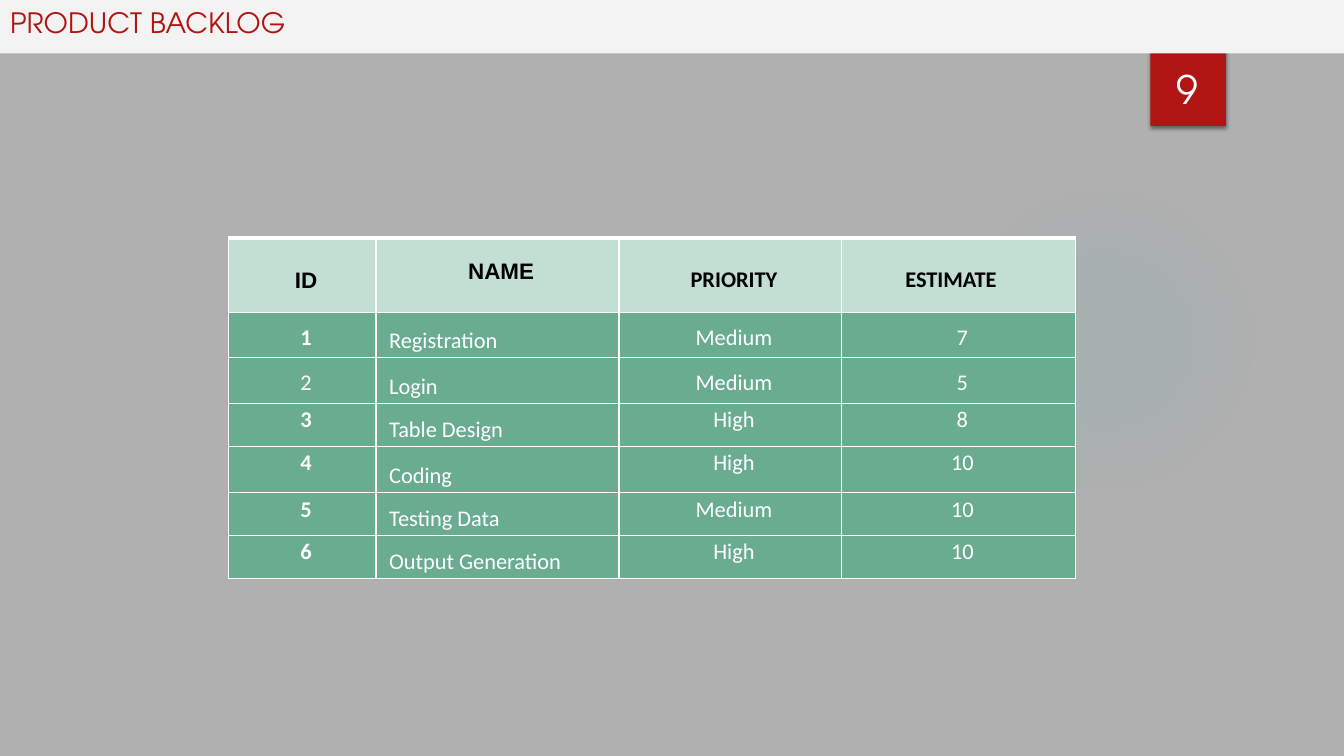
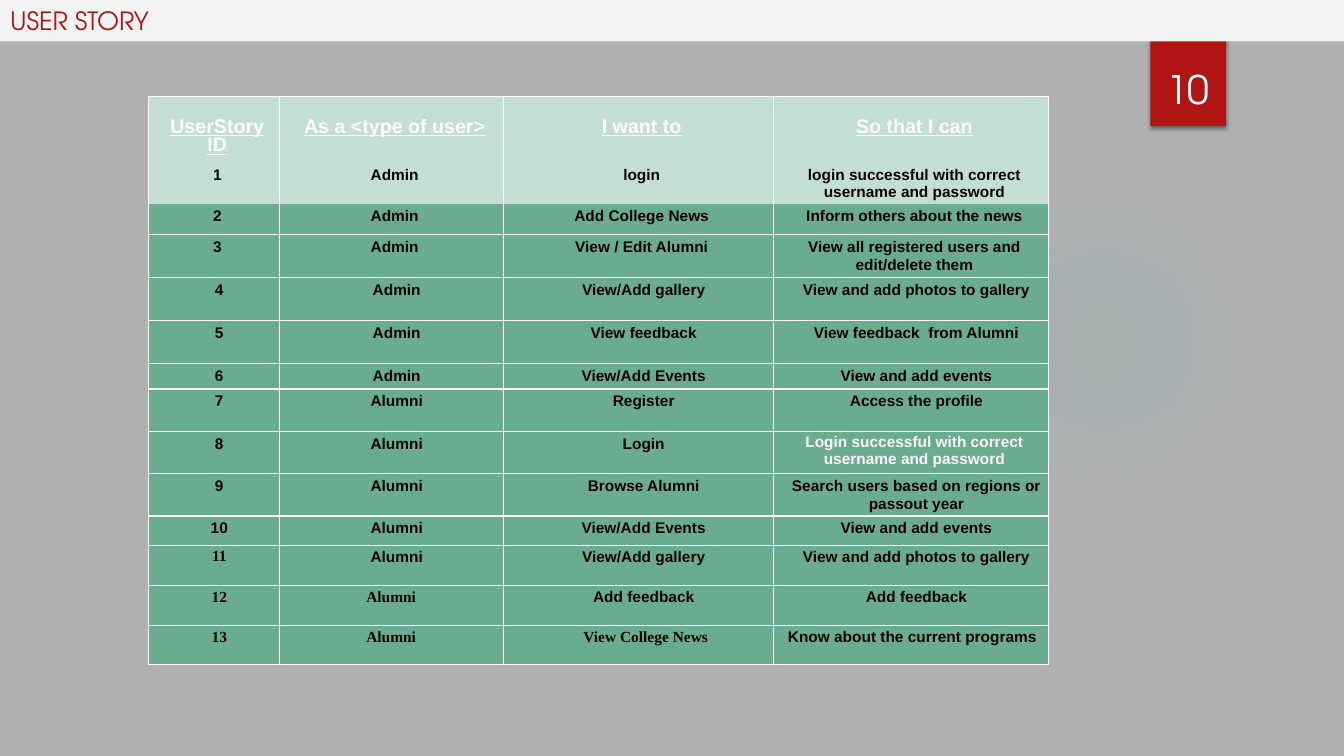
from dataclasses import dataclass, replace

from lxml import etree
from pptx import Presentation
from pptx import util as u
from pptx.dml import color
from pptx.enum import shapes, text
from pptx.oxml import ns

RED, WHITE, BLACK = "B01513", "FFFFFF", "000000"
BACKGROUND, BAND, GLOW = "B0B0B0", "F3F3F3", "50B9C1"
MINT, GREEN = "C3DED3", "6AAC90"
TITLE_FONT = "TeX Gyre Adventor"
NO_TABLE_STYLE = "{2D5ABB26-0587-4C30-8999-92F81FD0307C}"
LEFT, CENTER = text.PP_ALIGN.LEFT, text.PP_ALIGN.CENTER
TOP, MIDDLE, BOTTOM = (text.MSO_ANCHOR.TOP, text.MSO_ANCHOR.MIDDLE,
                       text.MSO_ANCHOR.BOTTOM)


@dataclass(frozen=True)
class Style:
    font: str
    size: float
    color: str = WHITE
    bold: bool = False
    underline: bool = False
    align: text.PP_ALIGN = CENTER
    anchor: text.MSO_ANCHOR = TOP
    indent: float = 0.07
    spacing: float | u.Length = 1.0
    gap: float = 0.0


@dataclass(frozen=True)
class Cell:
    text: str
    style: Style


@dataclass(frozen=True)
class Row:
    height: float
    fill: str
    cells: list[Cell]
    top: float = 1
    bottom: float = 1


@dataclass(frozen=True)
class Page:
    title: str
    title_size: float
    band_height: float
    number: int
    left: float
    top: float
    columns: list[float]
    rows: list[Row]


def rgb(value: str) -> color.RGBColor:
    return color.RGBColor.from_string(value)


def child(parent, tag: str, **attributes):
    element = etree.SubElement(parent, ns.qn(f"a:{tag}"))
    for name, value in attributes.items():
        element.set(name, str(value))
    return element


def add_color(parent, value: str, alpha: int = 100) -> None:
    child(child(parent, "srgbClr", val=value), "alpha", val=alpha * 1000)


def write(paragraph, content: str, style: Style) -> None:
    paragraph.alignment = style.align
    paragraph.line_spacing = style.spacing
    properties = paragraph._p.get_or_add_pPr()
    properties.set("marL", str(u.Inches(style.indent)))
    properties.set("indent", "0")
    run = paragraph.add_run()
    run.text = content
    run.font.name = style.font
    run.font.size = u.Pt(style.size)
    run.font.bold = style.bold
    run.font.underline = style.underline
    run.font.color.rgb = rgb(style.color)


def add_plain_shape(slide, kind, left: float, top: float, width: float,
                    height: float):
    shape = slide.shapes.add_shape(kind, *map(u.Inches, (left, top, width, height)))
    shape.shadow.inherit = False
    shape.line.fill.background()
    return shape


def add_glow(slide) -> None:
    glow = add_plain_shape(slide, shapes.MSO_SHAPE.OVAL, 9.41, 1.83, 3.08, 3.08)
    glow.fill.background()
    properties = glow._element.spPr
    gradient = etree.Element(ns.qn("a:gradFill"), rotWithShape="1")
    stops = child(gradient, "gsLst")
    for position, alpha in ((0, 7), (36, 6), (69, 0)):
        add_color(child(stops, "gs", pos=position * 1000), GLOW, alpha)
    circle = child(gradient, "path", path="circle")
    child(circle, "fillToRect", l=50000, t=50000, r=50000, b=50000)
    properties.replace(properties.find(ns.qn("a:noFill")), gradient)


def add_badge(slide) -> None:
    badge = add_plain_shape(slide, shapes.MSO_SHAPE.RECTANGLE, 11.41, 0, 0.75, 1.25)
    badge.fill.solid()
    badge.fill.fore_color.rgb = rgb(RED)
    effects = badge._element.spPr.find(ns.qn("a:effectLst"))
    shadow = child(effects, "outerShdw", blurRad=u.Pt(3), dist=u.Pt(2),
                   dir=90 * 60000, algn="ctr", rotWithShape=0)
    add_color(shadow, BLACK, 45)


def format_title(slide, page: Page) -> None:
    title = slide.shapes.title
    slide.shapes._spTree.append(title._element)
    title.left, title.top = u.Inches(0), u.Inches(0)
    title.width, title.height = u.Inches(13.33), u.Inches(page.band_height)
    title.fill.solid()
    title.fill.fore_color.rgb = rgb(BAND)
    frame = title.text_frame
    frame.auto_size = text.MSO_AUTO_SIZE.NONE
    frame.vertical_anchor = TOP
    write(frame.paragraphs[0], page.title,
          Style(TITLE_FONT, page.title_size, RED, align=LEFT, indent=0))


def add_number(slide, number: int) -> None:
    box = slide.shapes.add_textbox(*map(u.Inches, (11.32, 0.32, 0.92, 0.84)))
    box.text_frame.word_wrap = True
    box.text_frame.vertical_anchor = BOTTOM
    write(box.text_frame.paragraphs[0], str(number), Style(TITLE_FONT, 28, indent=0))


def set_borders(table_cell, row: Row) -> None:
    properties = table_cell._tc.get_or_add_tcPr()
    widths = {"lnL": 1, "lnR": 1, "lnT": row.top, "lnB": row.bottom}
    for index, (edge, width) in enumerate(widths.items()):
        line = etree.Element(ns.qn(f"a:{edge}"), w=str(u.Pt(width)))
        if width:
            add_color(child(line, "solidFill"), WHITE)
        else:
            child(line, "noFill")
        properties.insert(index, line)


def fill_cell(table_cell, cell: Cell, row: Row) -> None:
    style = cell.style
    table_cell.fill.solid()
    table_cell.fill.fore_color.rgb = rgb(row.fill)
    table_cell.margin_left = table_cell.margin_right = u.Inches(0.06)
    table_cell.margin_top = u.Inches(0.03 + style.gap)
    table_cell.margin_bottom = u.Inches(0.03)
    table_cell.vertical_anchor = style.anchor
    write(table_cell.text_frame.paragraphs[0], cell.text, style)
    set_borders(table_cell, row)


def add_page_table(slide, page: Page) -> None:
    size = sum(page.columns), sum(row.height for row in page.rows)
    frame = slide.shapes.add_table(len(page.rows), len(page.columns),
                                   *map(u.Inches, (page.left, page.top, *size)))
    table = frame.table
    table.first_row = table.horz_banding = False
    table._tbl.tblPr.find(ns.qn("a:tableStyleId")).text = NO_TABLE_STYLE
    for column, width in zip(table.columns, page.columns):
        column.width = u.Inches(width)
    for row_index, row in enumerate(page.rows):
        table.rows[row_index].height = u.Inches(row.height)
        for column_index, cell in enumerate(row.cells):
            fill_cell(table.cell(row_index, column_index), cell, row)


def backlog_rows() -> list[Row]:
    exact = u.Pt(12.6)
    name_head = Style("Arial", 16, BLACK, True, anchor=MIDDLE, spacing=exact)
    id_head = replace(name_head, gap=0.18)
    priority_head = replace(id_head, font="Calibri")
    estimate_head = replace(priority_head, align=LEFT, indent=0.57)
    rows = [Row(0.74, MINT, [Cell("ID", id_head), Cell("NAME", name_head),
                             Cell("PRIORITY", priority_head),
                             Cell("ESTIMATE", estimate_head)], top=3)]
    exact_body = Style("Calibri", 16, spacing=exact, gap=0.18)
    body = Style("Calibri", 16)
    items = [
        (0.45, "Registration", "Medium", 7, exact_body),
        (0.45, "Login", "Medium", 5, exact_body),
        (0.43, "Table Design", "High", 8, body),
        (0.46, "Coding", "High", 10, body),
        (0.42, "Testing Data", "Medium", 10, body),
        (0.43, "Output Generation", "High", 10, body),
    ]
    for number, (height, name, priority, estimate, style) in enumerate(items, 1):
        rows.append(Row(height, GREEN, [
            Cell(str(number), replace(style, bold=number != 2)),
            Cell(name, replace(style, align=LEFT, anchor=BOTTOM, gap=0)),
            Cell(priority, style),
            Cell(str(estimate), style),
        ]))
    return rows


def story_rows() -> list[Row]:
    head = Style("Arial", 14, WHITE, True, True, spacing=0.83, gap=0.19)
    first = Style("Arial", 11, BLACK, True, spacing=0.97)
    early = replace(first, spacing=1.06)
    middle = replace(early, indent=0.11)
    late = replace(middle, spacing=1.0)
    serif = replace(late, font="Times New Roman")
    special = {
        (8, 3): replace(first, color=WHITE),
        (11, 0): serif, (12, 0): serif, (13, 0): serif,
        (12, 1): replace(serif, indent=0), (13, 1): replace(serif, indent=0),
        (13, 2): replace(serif, indent=0.15),
        (13, 3): replace(late, indent=0.03),
    }
    titles = ("UserStory ID", "As a <type of user>", "I want to", "So that I can")
    rows = [Row(0.67, MINT, [Cell(title, head) for title in titles], bottom=0)]
    stories = [
        (0.33, "Admin", "login", "login successful with correct username and password"),
        (0.31, "Admin", "Add College News", "Inform others about the news"),
        (0.42, "Admin", "View / Edit Alumni",
         "View all registered users and edit/delete them"),
        (0.43, "Admin", "View/Add gallery", "View and add photos to gallery"),
        (0.43, "Admin", "View feedback", "View feedback  from Alumni"),
        (0.25, "Admin", "View/Add Events", "View and add events"),
        (0.42, "Alumni", "Register", "Access the profile"),
        (0.42, "Alumni", "Login", "Login successful with correct username and password"),
        (0.42, "Alumni", "Browse Alumni",
         "Search users based on regions or passout year"),
        (0.29, "Alumni", "View/Add Events", "View and add events"),
        (0.4, "Alumni", "View/Add gallery", "View and add photos to gallery"),
        (0.4, "Alumni", "Add feedback", "Add feedback"),
        (0.38, "Alumni", "View College News", "Know about the current programs"),
    ]
    for number, (height, *words) in enumerate(stories, 1):
        if number == 1:
            style = first
        elif number <= 3:
            style = early
        else:
            style = middle if number <= 10 else late
        cells = [Cell(word, special.get((number, column), style))
                 for column, word in enumerate((str(number), *words))]
        rows.append(Row(height, MINT if number == 1 else GREEN, cells,
                        top=int(number > 2), bottom=int(number > 1)))
    return rows


def add_page(presentation, page: Page) -> None:
    slide = presentation.slides.add_slide(presentation.slide_layouts[5])
    add_glow(slide)
    add_badge(slide)
    format_title(slide, page)
    add_page_table(slide, page)
    add_number(slide, page.number)


def main() -> None:
    presentation = Presentation()
    presentation.slide_width = u.Inches(13.33)
    presentation.slide_height = u.Inches(7.5)
    background = presentation.slide_master.background.fill
    background.solid()
    background.fore_color.rgb = rgb(BACKGROUND)
    pages = [
        Page("PRODUCT BACKLOG", 20, 0.53, 9, 2.27, 2.36,
             [1.46, 2.41, 2.21, 2.32], backlog_rows()),
        Page("USER STORY", 18, 0.41, 10, 1.47, 0.96,
             [1.3, 2.22, 2.68, 2.73], story_rows()),
    ]
    for page in pages:
        add_page(presentation, page)
    presentation.save("out.pptx")


main()
